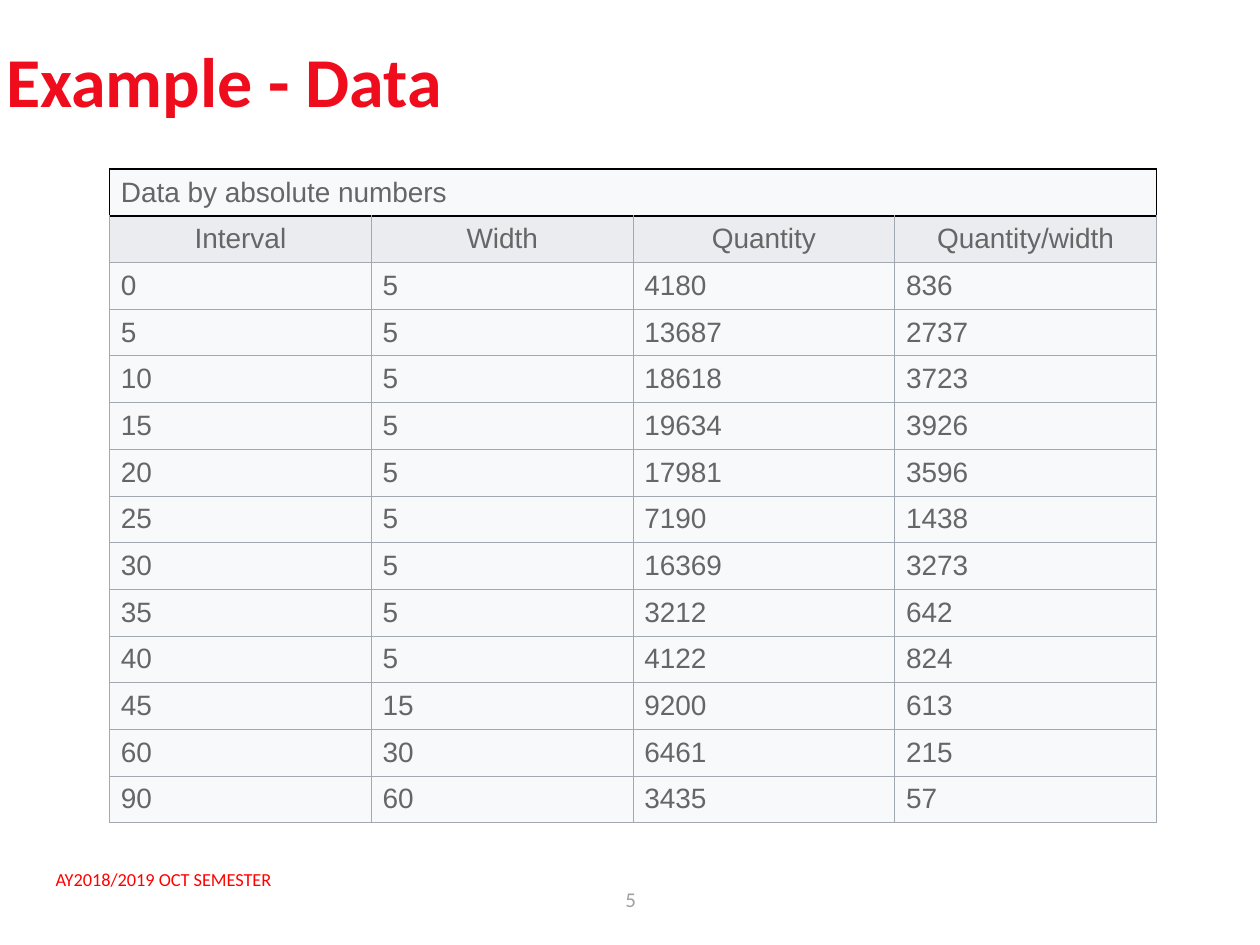
from pptx import Presentation, util as u
from pptx.dml.color import RGBColor
from pptx.enum import text as t
from pptx.oxml import ns, xmlchemy

TITLE_RED = RGBColor(0xEF, 0x0C, 0x1D)
FOOTER_RED = RGBColor(0xFF, 0x00, 0x00)
NUMBER_GREY = RGBColor(0xA0, 0xA0, 0xA0)
TABLE_TEXT = RGBColor(0x66, 0x66, 0x66)
HEADER_FILL = RGBColor(0xEA, 0xEC, 0xF0)
BODY_FILL = RGBColor(0xF8, 0xF9, 0xFA)
GRID_LINE = RGBColor(0xA2, 0xA9, 0xB1)
CAPTION_LINE = RGBColor(0x00, 0x00, 0x00)

CAPTION = "Data by absolute numbers"
HEADINGS = ("Interval", "Width", "Quantity", "Quantity/width")
RECORDS = (
    (0, 5, 4180, 836),
    (5, 5, 13687, 2737),
    (10, 5, 18618, 3723),
    (15, 5, 19634, 3926),
    (20, 5, 17981, 3596),
    (25, 5, 7190, 1438),
    (30, 5, 16369, 3273),
    (35, 5, 3212, 642),
    (40, 5, 4122, 824),
    (45, 15, 9200, 613),
    (60, 30, 6461, 215),
    (90, 60, 3435, 57),
)


def write(frame, content, *, size, color, font="Calibri", bold=False,
          align=t.PP_ALIGN.LEFT):
    paragraph = frame.paragraphs[0]
    paragraph.alignment = align
    run = paragraph.add_run()
    run.text = str(content)
    run.font.name = font
    run.font.size = u.Pt(size)
    run.font.bold = bold
    run.font.color.rgb = color


def set_borders(cell, **sides):
    """Draw cell sides, each given as L, R, T or B=(color, points)."""
    properties = cell._tc.get_or_add_tcPr()
    for index, side in enumerate("LRTB"):
        color, points = sides[side]
        line = xmlchemy.OxmlElement(f"a:ln{side}")
        line.set("w", str(u.Pt(points)))
        fill = xmlchemy.OxmlElement("a:solidFill")
        swatch = xmlchemy.OxmlElement("a:srgbClr")
        swatch.set("val", str(color))
        fill.append(swatch)
        line.append(fill)
        properties.insert(index, line)


class DataSlide:
    """Holds the slide and its style; lengths are shares of the slide's size."""

    grid = (GRID_LINE, 0.5)
    outline = (CAPTION_LINE, 1)

    def __init__(self, presentation):
        self.width = presentation.slide_width
        self.height = presentation.slide_height
        self.slide = presentation.slides.add_slide(presentation.slide_layouts[6])

    def place(self, left, top, width, height):
        return (round(left * self.width), round(top * self.height),
                round(width * self.width), round(height * self.height))

    def label(self, box, content, *, anchor=t.MSO_ANCHOR.MIDDLE, inset=0.1, **style):
        frame = self.slide.shapes.add_textbox(*self.place(*box)).text_frame
        frame.word_wrap = True
        frame.vertical_anchor = anchor
        frame.margin_left = frame.margin_right = u.Inches(inset)
        write(frame, content, **style)

    def cell(self, cell, content, fill, align=t.PP_ALIGN.LEFT):
        cell.fill.solid()
        cell.fill.fore_color.rgb = fill
        cell.vertical_anchor = t.MSO_ANCHOR.MIDDLE
        cell.margin_left = cell.margin_right = u.Inches(0.09)
        cell.margin_top = cell.margin_bottom = u.Inches(0.04)
        write(cell.text_frame, content, size=16, color=TABLE_TEXT,
              font="Arial", align=align)

    def table(self, box, caption, headings, records):
        rows = [(caption,) + ("",) * (len(headings) - 1), headings, *records]
        table = self.slide.shapes.add_table(
            len(rows), len(headings), *self.place(*box)).table
        table.first_row = table.horz_banding = False
        for row, values in enumerate(rows):
            is_caption, is_header = row == 0, row == 1
            side = self.outline if is_caption else self.grid
            for column, value in enumerate(values):
                cell = table.cell(row, column)
                self.cell(cell, value, HEADER_FILL if is_header else BODY_FILL,
                          t.PP_ALIGN.CENTER if is_header else t.PP_ALIGN.LEFT)
                set_borders(cell, L=side, R=side, B=side,
                            T=self.outline if is_header else side)
        table.cell(0, 0).merge(table.cell(0, len(headings) - 1))


def main():
    presentation = Presentation()
    presentation.slide_width = u.Inches(10)
    presentation.slide_height = u.Inches(7.5)
    page = DataSlide(presentation)
    page.label((0.031, 0.912, 0.573, 0.037), " AY2018/2019 OCT SEMESTER",
               anchor=t.MSO_ANCHOR.TOP, size=10.5, color=FOOTER_RED)
    page.label((0.384, 0.925, 0.233, 0.053), 5, size=12, color=NUMBER_GREY,
               align=t.PP_ALIGN.CENTER)
    page.label((0, 0.001, 1, 0.167), "Example - Data", inset=0.05,
               size=40, color=TITLE_RED, bold=True)
    page.table((0.087, 0.179, 0.831, 0.692), CAPTION, HEADINGS, RECORDS)
    presentation.save("out.pptx")


if __name__ == "__main__":
    main()
